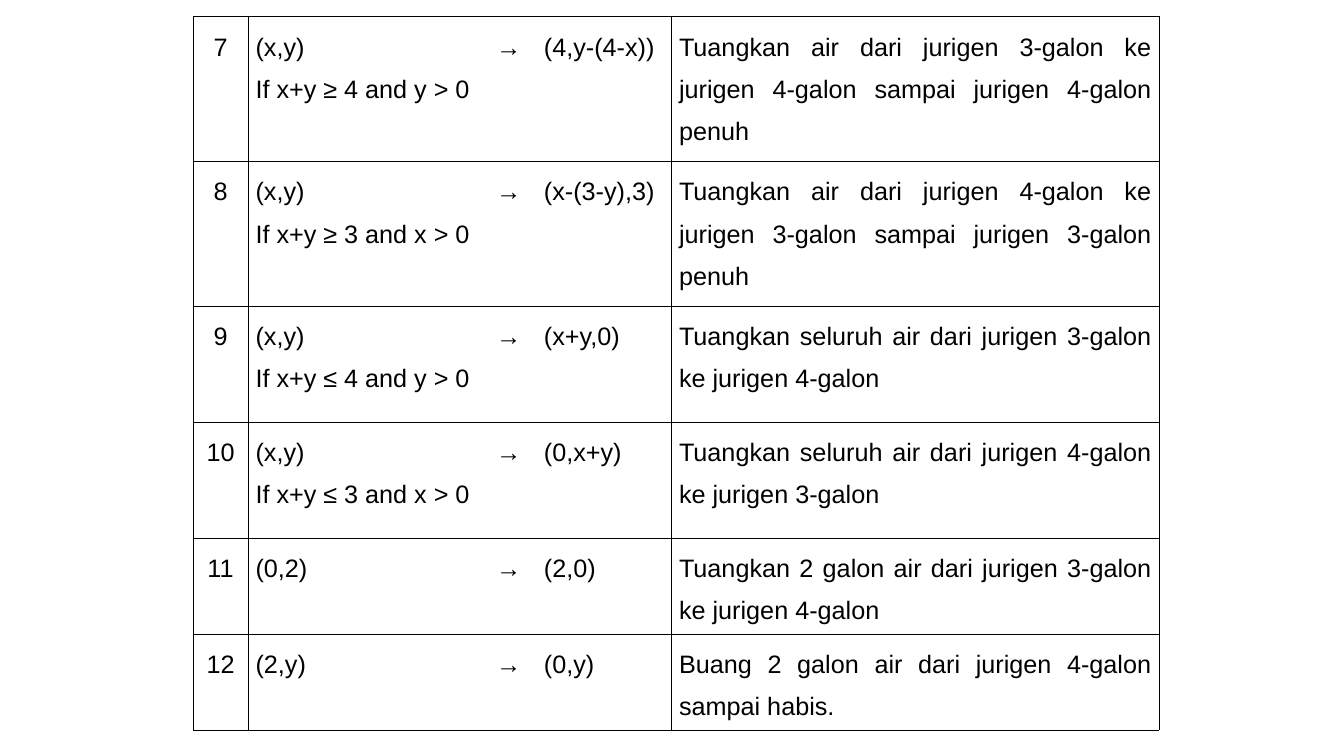
"""Build a slide with rules 7 to 12 of the water jug problem."""
from lxml import etree
from pptx import Presentation
from pptx.dml.color import RGBColor
from pptx.enum.text import PP_ALIGN
from pptx.oxml.ns import qn
from pptx.util import Inches, Pt

CENTER = PP_ALIGN.CENTER
JUSTIFY = PP_ALIGN.JUSTIFY
BLACK = RGBColor(0, 0, 0)
FONT = "Arial"
TEXT_SIZE = Pt(36)
BORDER_WIDTH = Pt(0.45)
COLUMN_WIDTHS = [1.09, 4.77, 0.95, 2.68, 9.67]
COLUMN_BORDERS = ["LRTB", "LTB", "TB", "RTB", "LRTB"]
ROW_HEIGHTS = [2.87, 2.87, 2.3, 2.3, 1.91, 1.91]
FIRST_RULE = 7
RULES = [
    ("(x,y)\nIf x+y ≥ 4 and y > 0", "(4,y-(4-x))",
     "Tuangkan air dari jurigen 3-galon ke jurigen 4-galon sampai jurigen 4-galon penuh"),
    ("(x,y)\nIf x+y ≥ 3 and x > 0", "(x-(3-y),3)",
     "Tuangkan air dari jurigen 4-galon ke jurigen 3-galon sampai jurigen 3-galon penuh"),
    ("(x,y)\nIf x+y ≤ 4 and y > 0", "(x+y,0)",
     "Tuangkan seluruh air dari jurigen 3-galon ke jurigen 4-galon"),
    ("(x,y)\nIf x+y ≤ 3 and x > 0", "(0,x+y)",
     "Tuangkan seluruh air dari jurigen 4-galon ke jurigen 3-galon"),
    ("(0,2)", "(2,0)", "Tuangkan 2 galon air dari jurigen 3-galon ke jurigen 4-galon"),
    ("(2,y)", "(0,y)", "Buang 2 galon air dari jurigen 4-galon sampai habis."),
]


def set_borders(cell, visible_sides):
    properties = cell._tc.get_or_add_tcPr()
    for side in "LRTB":
        border = etree.SubElement(properties, qn(f"a:ln{side}"), w=str(int(BORDER_WIDTH)))
        if side in visible_sides:
            paint = etree.SubElement(border, qn("a:solidFill"))
            etree.SubElement(paint, qn("a:srgbClr"), val=str(BLACK))
        else:
            etree.SubElement(border, qn("a:noFill"))


def fill_cell(cell, content, alignment, visible_sides):
    set_borders(cell, visible_sides)
    cell.fill.background()
    cell.margin_left = cell.margin_right = Inches(0.15)
    cell.margin_top = cell.margin_bottom = Inches(0.05)
    cell.text_frame.text = content
    for paragraph in cell.text_frame.paragraphs:
        paragraph.alignment = alignment
        paragraph.line_spacing = 1.5
        for run in paragraph.runs:
            run.font.name = FONT
            run.font.size = TEXT_SIZE
            run.font.color.rgb = BLACK


def add_rules_table(slide):
    frame = slide.shapes.add_table(
        len(RULES), len(COLUMN_WIDTHS), Inches(3.83), Inches(0.33),
        Inches(sum(COLUMN_WIDTHS)), Inches(sum(ROW_HEIGHTS)))
    rules = frame.table
    rules.first_row = rules.horz_banding = False
    for column, width in zip(rules.columns, COLUMN_WIDTHS):
        column.width = Inches(width)
    for row, height in zip(rules.rows, ROW_HEIGHTS):
        row.height = Inches(height)
    for index, (state, result, action) in enumerate(RULES):
        contents = [str(FIRST_RULE + index), state, "→", result, action]
        for column, content in enumerate(contents):
            alignment = JUSTIFY if column else CENTER
            fill_cell(rules.cell(index, column), content, alignment, COLUMN_BORDERS[column])


def main():
    presentation = Presentation()
    presentation.slide_width = Inches(26.66)
    presentation.slide_height = Inches(15)
    slide = presentation.slides.add_slide(presentation.slide_layouts[6])
    add_rules_table(slide)
    presentation.save("out.pptx")


main()
